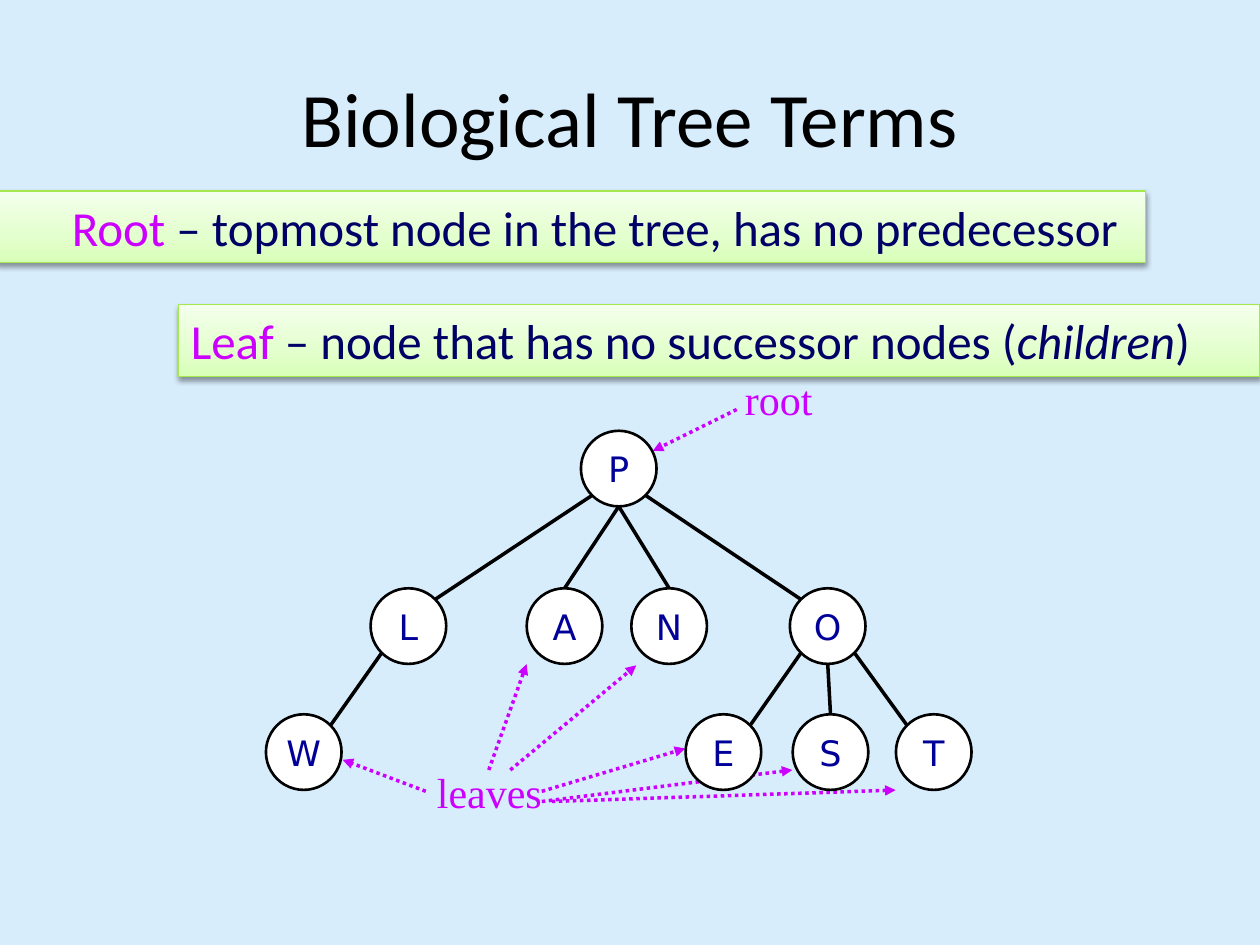
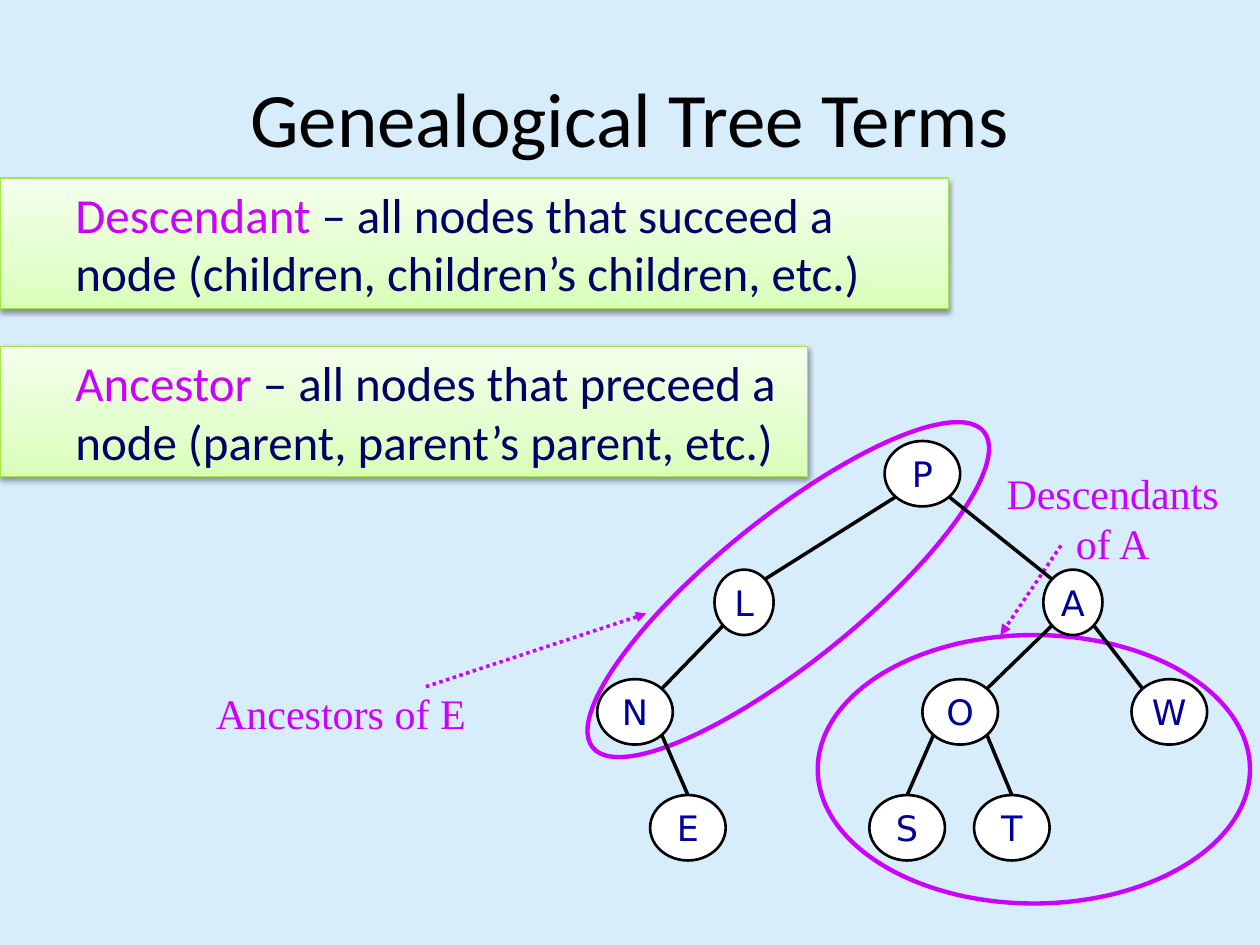
from lxml import etree
from pptx import Presentation
from pptx.dml.color import RGBColor
from pptx.enum.dml import MSO_LINE
from pptx.enum.shapes import MSO_CONNECTOR, MSO_SHAPE
from pptx.enum.text import MSO_ANCHOR, PP_ALIGN
from pptx.oxml.ns import qn
from pptx.util import Pt

STRAIGHT = MSO_CONNECTOR.STRAIGHT
OVAL, RECT = MSO_SHAPE.OVAL, MSO_SHAPE.RECTANGLE
DOTTED = MSO_LINE.ROUND_DOT
CENTER, LEFT = PP_ALIGN.CENTER, PP_ALIGN.LEFT
TOP, MIDDLE = MSO_ANCHOR.TOP, MSO_ANCHOR.MIDDLE

SKY, BLACK, WHITE = "D8EDFC", "000000", "FFFFFF"
MAGENTA, NAVY, NODE_BLUE = "CC00FF", "000066", "000099"
BAND_EDGE = "A4E94C"
BAND_STOPS = [(0, "D8FFB8"), (35, "E3FFCD"), (100, "F4FFEC")]
BODY, LABEL, NODE = "Calibri", "Times New Roman", "DejaVu Sans"
DIAGONAL = 0.5 ** 0.5


def rgb(value):
    return RGBColor.from_string(value)


def points(*values):
    return [Pt(v) for v in values]


def set_font(p, name, size, color=None):
    p.font.name, p.font.size = name, Pt(size)
    if color:
        p.font.color.rgb = rgb(color)


def add_text(s, box, text, name, size, color, anchor=TOP):
    """Centred one-paragraph text box."""
    tf = s.shapes.add_textbox(*points(*box)).text_frame
    tf.word_wrap = True
    tf.vertical_anchor = anchor
    p = tf.paragraphs[0]
    p.text = text
    p.alignment = CENTER
    set_font(p, name, size, color)


def add_shape(s, kind, box, line, width, fill=None):
    sp = s.shapes.add_shape(kind, *points(*box))
    sp.shadow.inherit = False
    sp.line.color.rgb = rgb(line)
    sp.line.width = Pt(width)
    if fill:
        sp.fill.solid()
        sp.fill.fore_color.rgb = rgb(fill)
    else:
        sp.fill.background()
    return sp


def add_line(s, start, end, color):
    cxn = s.shapes.add_connector(STRAIGHT, *points(*start, *end))
    cxn.line.color.rgb = rgb(color)
    cxn.line.width = Pt(2)
    etree.SubElement(cxn._element.spPr, qn("a:effectLst"))
    return cxn


def add_arrow(s, start, end):
    cxn = add_line(s, start, end, MAGENTA)
    cxn.line.dash_style = DOTTED
    ln = cxn._element.spPr.find(qn("a:ln"))
    etree.SubElement(ln, qn("a:tailEnd"), type="triangle")


def add_srgb(parent, value):
    return etree.SubElement(parent, qn("a:srgbClr"), val=value)


def style_band(sp):
    """Green gradient, lightest at the top, with a soft drop shadow."""
    sp.fill.gradient()
    sp.fill.gradient_angle = 90
    spPr = sp._element.spPr
    stops = spPr.find(".//" + qn("a:gsLst"))
    for gs in list(stops):
        stops.remove(gs)
    for percent, color in BAND_STOPS:
        add_srgb(etree.SubElement(stops, qn("a:gs"), pos=str(percent * 1000)), color)
    shadow = etree.SubElement(
        spPr.find(qn("a:effectLst")), qn("a:outerShdw"), blurRad=str(Pt(3.15)),
        dist=str(Pt(1.6)), dir="5400000", rotWithShape="0")
    etree.SubElement(add_srgb(shadow, BLACK), qn("a:alpha"), val="38000")


def definition_band(s, box, term, parts, indent=36):
    """Term in magenta, then (text, italic) parts in navy."""
    sp = add_shape(s, RECT, box, BAND_EDGE, 0.75)
    style_band(sp)
    tf = sp.text_frame
    tf.word_wrap = True
    tf.vertical_anchor = TOP
    p = tf.paragraphs[0]
    p.alignment = LEFT
    p._p.get_or_add_pPr().set("marL", str(Pt(indent)))
    set_font(p, BODY, 28)
    for text, color, italic in [(term + " ", MAGENTA, False),
                                *((t, NAVY, i) for t, i in parts)]:
        r = p.add_run()
        r.text = text
        r.font.color.rgb = rgb(color)
        if italic:
            r.font.italic = True


def annotation(s, box, text, arrows, ring=None, rotation=0):
    """Label with arrows and an optional ring, all measured from the label's corner."""
    x, y, _, _ = box
    add_text(s, box, text, LABEL, 24, MAGENTA)
    if ring:
        dx, dy, w, h = ring
        add_shape(s, OVAL, (x + dx, y + dy, w, h), MAGENTA, 2.5).rotation = rotation
    for x1, y1, x2, y2 in arrows:
        add_arrow(s, (x + x1, y + y1), (x + x2, y + y2))


def tree(s, left, top, height, levels, edges, widths=None):
    """levels: (centre y, {letter: centre x}); edges: (parent, child, side out, side in).

    A side is -1 for the left diagonal, 0 for the middle and 1 for the right diagonal.
    """
    nodes = {}
    for cy, row in levels:
        for letter, cx in row.items():
            w = (widths or {}).get(letter, 43.2)
            x, y = left + cx, top + cy
            nodes[letter] = (x, y, w)
            sp = add_shape(s, OVAL, (x - w / 2, y - height / 2, w, height),
                           BLACK, 1.5, WHITE)
            tf = sp.text_frame
            tf.word_wrap = False
            tf.vertical_anchor = MIDDLE
            tf.margin_left = tf.margin_right = 0
            p = tf.paragraphs[0]
            p.text = letter
            p.alignment = CENTER
            set_font(p, NODE, 20, NODE_BLUE)

    def site(letter, side, direction):
        x, y, w = nodes[letter]
        reach = DIAGONAL if side else 1
        return x + side * reach * w / 2, y + direction * reach * height / 2

    for parent, child, side_out, side_in in edges:
        add_line(s, site(parent, side_out, 1), site(child, side_in, -1), BLACK)


def new_slide(prs, title):
    s = prs.slides.add_slide(prs.slide_layouts[6])
    s.background.fill.solid()
    s.background.fill.fore_color.rgb = rgb(SKY)
    add_text(s, (36, 21.6, 648, 90), title, BODY, 44, BLACK, MIDDLE)
    return s


def biological_slide(prs):
    s = new_slide(prs, "Biological Tree Terms")
    annotation(s, (409, 210.2, 72, 36), "root", [(12, 23.8, -36, 47.5)])
    annotation(s, (231.8, 434.2, 95.8, 36), "leaves", [
        (47.5, 5.8, 69.1, -54.7),
        (77.8, 18, 159.8, -6.5),
        (77.8, 23.8, 221, 5.8),
        (83.5, 23.8, 280, 17.3),
        (59.8, 5.8, 131.8, -54),
        (11.5, 18, -36, 0),
    ])
    tree(s, 152, 246.2, 43.2, [
        (21.6, {"P": 201.6}),
        (111.6, {"L": 81.4, "A": 170.6, "N": 230.4, "O": 321}),
        (183.6, {"W": 21.6, "E": 261.4, "S": 322.6, "T": 381.6}),
    ], [
        ("P", "L", -1, 1), ("P", "A", 0, 0), ("P", "N", 0, 0), ("P", "O", 1, -1),
        ("L", "W", -1, 1),
        ("O", "E", -1, 1), ("O", "S", 0, 0), ("O", "T", 1, -1),
    ])
    definition_band(s, (-2, 109.2, 656.5, 41), "Root",
                    [("– topmost node in the tree, has no predecessor", False)])
    definition_band(s, (102, 174.2, 618, 41), "Leaf",
                    [("– node that has no successor nodes (", False),
                     ("children", True), (")", False)], indent=0)


def genealogical_slide(prs):
    s = new_slide(prs, "Genealogical Tree Terms")
    annotation(s, (563.8, 263.5, 144, 65.5), "Descendants of A",
               [(42.5, 48.2, 7.9, 99.4)], ring=(-96.5, 99.4, 247, 153.4))
    annotation(s, (95.8, 389.5, 198, 36), "Ancestors of E",
               [(147.6, 2.9, 273.6, -38.9)],
               ring=(211, -93.6, 287.3, 82.1), rotation=321.1)
    tree(s, 341.3, 252, 37.4, [
        (18.7, {"P": 185.8}),
        (92.2, {"L": 83.9, "A": 271.8}),
        (154.8, {"N": 21.6, "O": 207.4, "W": 326.9}),
        (221, {"E": 51.8, "S": 177.1, "T": 236.9}),
    ], [
        ("P", "L", -1, 1), ("P", "A", 1, -1),
        ("L", "N", -1, 1), ("A", "O", -1, 1), ("A", "W", 1, -1),
        ("N", "E", 1, 0), ("O", "S", -1, 0), ("O", "T", 1, 0),
    ], widths={"L": 33.8, "A": 33.8})
    definition_band(
        s, (0, 101.7, 542.2, 74.5), "Descendant",
        [("– all nodes that succeed a node (children, children’s children, etc.)", False)])
    definition_band(
        s, (0, 197.9, 461.5, 74.5), "Ancestor",
        [("– all nodes that preceed a node (parent, parent’s parent, etc.)", False)])


def main():
    prs = Presentation()
    prs.slide_width, prs.slide_height = points(720, 540)
    biological_slide(prs)
    genealogical_slide(prs)
    prs.save("out.pptx")


if __name__ == "__main__":
    main()
